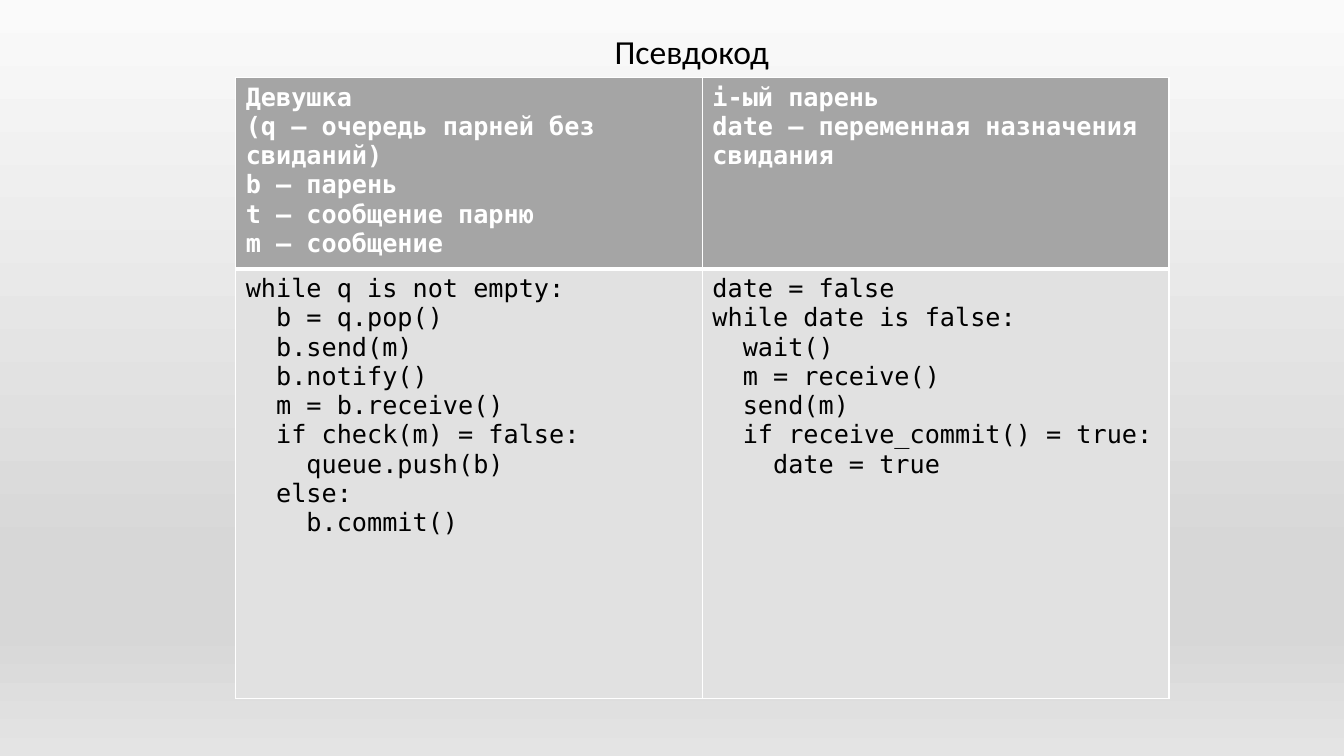
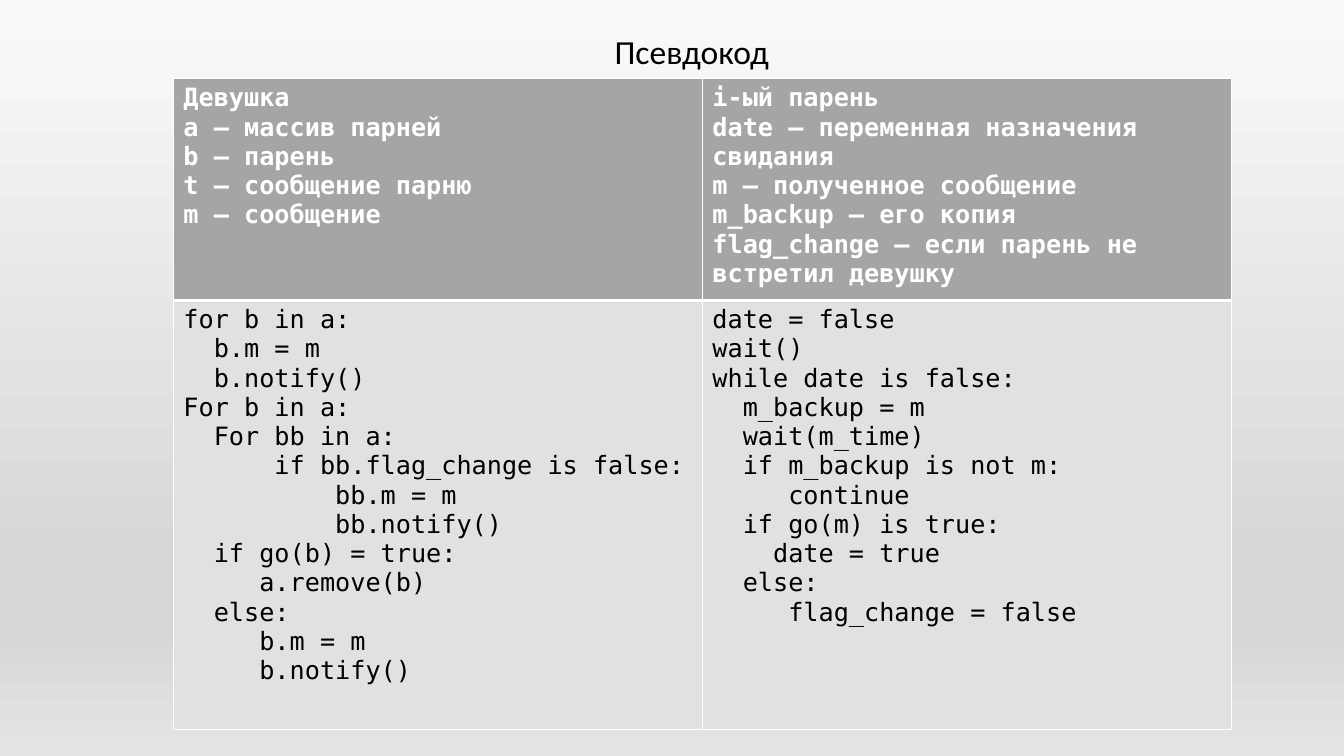
from lxml import etree
from pptx import Presentation
from pptx.dml.color import RGBColor
from pptx.enum.text import MSO_ANCHOR
from pptx.oxml.ns import qn
from pptx.util import Cm, Pt

MIDDLE = MSO_ANCHOR.MIDDLE
BLACK = RGBColor(0x00, 0x00, 0x00)
WHITE = RGBColor(0xFF, 0xFF, 0xFF)
HEADER_GREY = RGBColor(0xA5, 0xA5, 0xA5)
BODY_GREY = RGBColor(0xE1, 0xE1, 0xE1)
BACKGROUND_STOPS = [
    (0, RGBColor(0xFA, 0xFA, 0xFA)),
    (74, RGBColor(0xD7, 0xD7, 0xD7)),
    (83, RGBColor(0xD7, 0xD7, 0xD7)),
    (100, RGBColor(0xE4, 0xE4, 0xE4)),
]

TITLE_FONT = {"name": "Calibri", "size": Pt(24)}
CODE_FONT = {"name": "DejaVu Sans Mono", "size": Pt(18)}
TABLE_CENTER = 17.7
BODY_HEIGHT = 10.82
THIN, THICK = Pt(1), Pt(3)

# One entry per table row: fill, text colour, bold, border widths by side
ROW_STYLES = [
    (HEADER_GREY, WHITE, True, {"L": THIN, "R": THIN, "T": THIN, "B": THICK}),
    (BODY_GREY, BLACK, False, {"L": THIN, "R": THIN, "T": THICK, "B": THIN}),
]

SLIDES = [
    {
        "title": "Псевдокод",
        "top": 1.96,
        "column_width": 11.76,
        "header_height": 4.65,
        "rows": [
            (
                """Девушка
(q – очередь парней без свиданий)
b – парень
t – сообщение парню
m – сообщение""",
                """i-ый парень
date – переменная назначения свидания""",
            ),
            (
                """while q is not empty:
  b = q.pop()
  b.send(m)
  b.notify()
  m = b.receive()
  if check(m) = false:
    queue.push(b)
  else:
    b.commit()""",
                """date = false
while date is false:
  wait()
  m = receive()
  send(m)
  if receive_commit() = true:
    date = true""",
            ),
        ],
    },
    {
        "title": "Псевдокод",
        "top": 1.98,
        "column_width": 13.33,
        "header_height": 5.41,
        "rows": [
            (
                """Девушка
a – массив парней
b – парень
t – сообщение парню
m – сообщение""",
                """i-ый парень
date – переменная назначения свидания
m – полученное сообщение
m_backup – его копия
flag_change – если парень не встретил девушку""",
            ),
            (
                """for b in a:
  b.m = m
  b.notify()
For b in a:
  For bb in a:
      if bb.flag_change is false:
          bb.m = m
          bb.notify()
  if go(b) = true:
     a.remove(b)
  else:
     b.m = m
     b.notify()""",
                """date = false
wait()
while date is false:
  m_backup = m
  wait(m_time)
  if m_backup is not m:
     continue
  if go(m) is true:
    date = true
  else:
     flag_change = false""",
            ),
        ],
    },
]


def set_background(master):
    """Give every slide the vertical gradient through the slide master."""
    fill = master.background.fill
    fill.gradient()
    fill.gradient_angle = 270
    stops = master.element.find(".//" + qn("p:bg")).find(".//" + qn("a:gsLst"))
    for stop in list(stops):
        stops.remove(stop)
    for percent, color in BACKGROUND_STOPS:
        stop = etree.SubElement(stops, qn("a:gs"), pos=str(percent * 1000))
        etree.SubElement(stop, qn("a:srgbClr"), val=str(color))


def write_lines(frame, text, font_values, color):
    frame.text = text
    for para in frame.paragraphs:
        for span in para.runs:
            for name, value in font_values.items():
                setattr(span.font, name, value)
            span.font.color.rgb = color


def add_title(page, text):
    box = page.shapes.add_textbox(Cm(15.24), Cm(0.76), Cm(4.93), Cm(1.19))
    frame = box.text_frame
    frame.word_wrap = True
    frame.vertical_anchor = MIDDLE
    write_lines(frame, text, TITLE_FONT, BLACK)
    frame.paragraphs[0].line_spacing = 0.9


def set_borders(cell, widths):
    """Add white borders; they must stand before the fill in the cell."""
    properties = cell._tc.get_or_add_tcPr()
    for index, (side, width) in enumerate(widths.items()):
        line = etree.Element(qn("a:ln" + side), w=str(int(width)))
        solid = etree.SubElement(line, qn("a:solidFill"))
        etree.SubElement(solid, qn("a:srgbClr"), val=str(WHITE))
        properties.insert(index, line)


def add_code_table(page, content):
    width = content["column_width"]
    heights = [content["header_height"], BODY_HEIGHT]
    table = page.shapes.add_table(
        2, 2, Cm(TABLE_CENTER - width), Cm(content["top"]),
        Cm(2 * width), Cm(sum(heights)),
    ).table
    for column in table.columns:
        column.width = Cm(width)
    for row, height, texts, style in zip(
        table.rows, heights, content["rows"], ROW_STYLES
    ):
        row.height = Cm(height)
        fill_color, text_color, bold, widths = style
        for cell, text in zip(row.cells, texts):
            cell.fill.solid()
            cell.fill.fore_color.rgb = fill_color
            set_borders(cell, widths)
            write_lines(cell.text_frame, text, CODE_FONT | {"bold": bold}, text_color)


def main():
    deck = Presentation()
    deck.slide_width, deck.slide_height = Cm(33.87), Cm(19.05)
    set_background(deck.slide_master)
    for content in SLIDES:
        page = deck.slides.add_slide(deck.slide_layouts[6])
        add_title(page, content["title"])
        add_code_table(page, content)
    deck.save("out.pptx")


if __name__ == "__main__":
    main()
